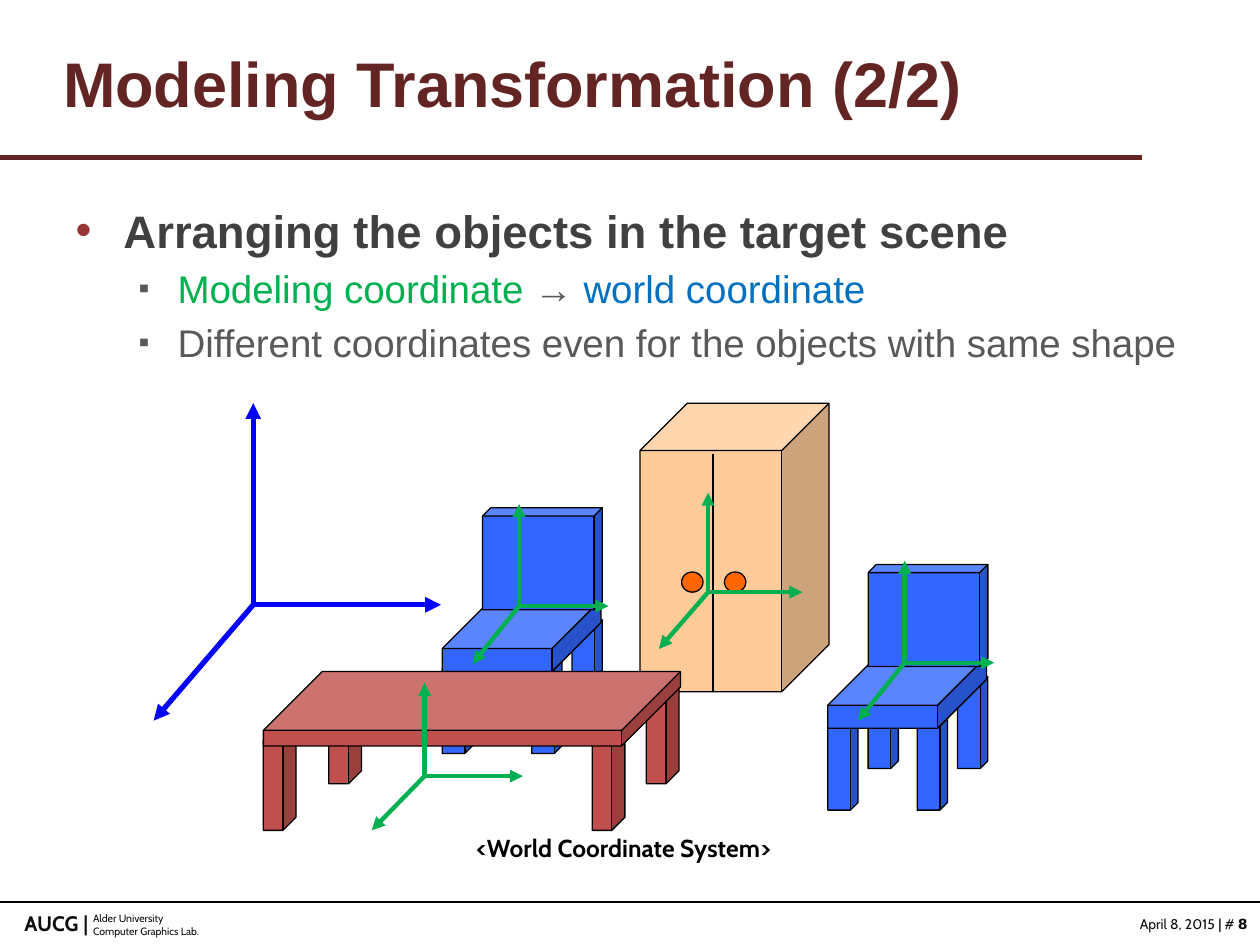
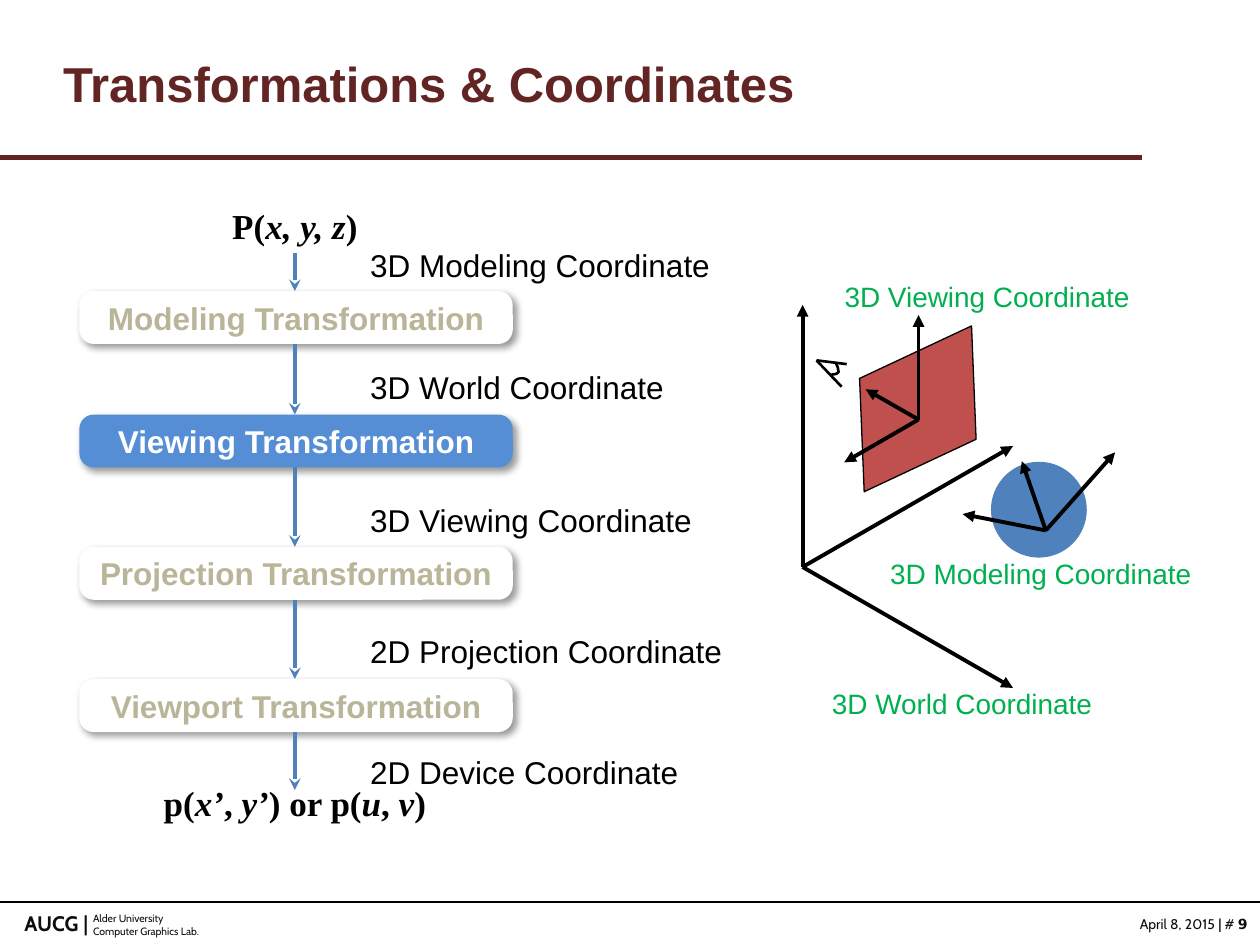
from lxml import etree
from pptx import Presentation
from pptx.dml.color import RGBColor
from pptx.enum.shapes import MSO_CONNECTOR, MSO_SHAPE
from pptx.enum.text import MSO_ANCHOR, MSO_AUTO_SIZE, PP_ALIGN
from pptx.oxml.ns import qn
from pptx.util import Cm, Pt

CUBE, OVAL = MSO_SHAPE.CUBE, MSO_SHAPE.OVAL
ROUNDED, PARALLELOGRAM = MSO_SHAPE.ROUNDED_RECTANGLE, MSO_SHAPE.PARALLELOGRAM
STRAIGHT = MSO_CONNECTOR.STRAIGHT
LEFT, CENTER, RIGHT = PP_ALIGN.LEFT, PP_ALIGN.CENTER, PP_ALIGN.RIGHT
TOP, MIDDLE = MSO_ANCHOR.TOP, MSO_ANCHOR.MIDDLE
TITLE_AND_BODY, TITLE_ONLY = 1, 5

COLORS = {
    "maroon": "632523", "bullet": "953735", "dark": "404040", "gray": "595959",
    "ink": "0D0D0D", "black": "000000", "white": "FFFFFF", "muted": "B8B598",
    "green": "00B050", "sky": "0070C0", "axis": "0000FF", "steel": "4F81BD",
    "active": "558ED5", "chair": "3366FF", "table": "C0504D",
    "cabinet": "FFCC99", "knob": "FF6600",
}


def rgb(name):
    return RGBColor.from_string(COLORS[name])


def grid(*values):
    """Turn positions on the 10 x 7.5 layout grid into lengths."""
    return [Cm(2.54 * v) for v in values]


def write(p, text, size=18, color="black", font="Arial", bold=False, italic=False):
    r = p.add_run()
    r.text = text
    f = r.font
    f.size, f.name, f.bold, f.italic = Pt(size), font, bold, italic
    f.color.rgb = rgb(color)


class Deck:
    def __init__(self):
        self.prs = Presentation()
        self.prs.slide_width, self.prs.slide_height = grid(10, 7.5)
        self.s = None

    # Slide frame: title, rules and footer
    def new_slide(self, layout, title, size, number):
        self.s = self.prs.slides.add_slide(self.prs.slide_layouts[layout])
        self.line((0, 1.25), (9.06, 1.25), "maroon", 3)
        self.line((0, 7.16), (10, 7.16), "black", 1)
        footer = dict(font="Cabin", color="ink")
        self.text((-0.04, 7.18, 0.84, 0.3), [("AUCG |", dict(bold=True))],
                  RIGHT, size=12, **footer)
        for i, owner in enumerate(["Alder University", "Computer Graphics Lab."]):
            self.text((0.64, 7.19 + 0.1 * i, 1.4, 0.2), [(owner, {})],
                      size=6, **footer)
        self.text((8.5, 7.22, 1.5, 0.24),
                  [("April 8, 2015 ", {}), ("|", dict(bold=True)), (" # ", {}),
                   (str(number), dict(bold=True, font="DejaVu Sans"))],
                  RIGHT, size=8, **footer)
        tf = self.place(self.s.shapes.title, (0.3, 0.22, 9, 0.87), MIDDLE)
        tf.margin_left = grid(0.2)[0]
        tf.paragraphs[0].alignment = LEFT
        write(tf.paragraphs[0], title, size, "maroon", bold=True)

    def place(self, sp, box, anchor=TOP):
        sp.left, sp.top, sp.width, sp.height = grid(*box)
        tf = sp.text_frame
        tf.auto_size, tf.word_wrap = MSO_AUTO_SIZE.NONE, True
        tf.vertical_anchor = anchor
        return tf

    # Bulleted list: items are (level, runs)
    def bullets(self, box, items):
        tf = self.place(self.s.placeholders[1], box)
        looks = [dict(hang=(0.38, -0.38), char="•", color="bullet", pct=100),
                 dict(hang=(0.81, -0.31), char="▪", color="gray", pct=80)]
        for i, (level, runs) in enumerate(items):
            p = tf.add_paragraph() if i else tf.paragraphs[0]
            p.level = level
            self.bullet(p, **looks[level])
            for text, fmt in runs:
                write(p, text, **fmt)

    def bullet(self, p, hang, char, color, pct):
        pPr = p._p.get_or_add_pPr()
        margin, indent = grid(*hang)
        pPr.set("marL", str(int(margin)))
        pPr.set("indent", str(int(indent)))
        clr = etree.SubElement(pPr, qn("a:buClr"))
        etree.SubElement(clr, qn("a:srgbClr"), val=COLORS[color])
        etree.SubElement(pPr, qn("a:buSzPct"), val=str(pct * 1000))
        etree.SubElement(pPr, qn("a:buFont"), typeface="Arial")
        etree.SubElement(pPr, qn("a:buChar"), char=char)

    # Free text: runs are (text, format changes)
    def text(self, box, runs, align=LEFT, spacing=None, **fmt):
        tf = self.place(self.s.shapes.add_textbox(*grid(*box)), box)
        p = tf.paragraphs[0]
        p.alignment = align
        if spacing:
            p.line_spacing = spacing
        for text, changes in runs:
            write(p, text, **{**fmt, **changes})

    def shape(self, kind, box, fill, line="black", adj=None, rotation=0):
        sp = self.s.shapes.add_shape(kind, *grid(*box))
        sp.fill.solid()
        sp.fill.fore_color.rgb = rgb(fill)
        if line:
            sp.line.color.rgb, sp.line.width = rgb(line), Pt(0.75)
        else:
            sp.line.fill.background()
        if adj is not None:
            sp.adjustments[0] = adj
        sp.rotation = rotation
        sp.shadow.inherit = False
        return sp

    def line(self, start, end, color, width, head=None):
        sp = self.s.shapes.add_connector(STRAIGHT, *grid(*start, *end))
        sp.line.color.rgb, sp.line.width = rgb(color), Pt(width)
        if head:
            etree.SubElement(sp.line._get_or_add_ln(), qn("a:tailEnd"), type=head)
        etree.SubElement(sp._element.spPr, qn("a:effectLst"))

    def curve(self, points, color, width, rotation):
        start, *rest = [grid(*pt) for pt in points]
        builder = self.s.shapes.build_freeform(*start)
        builder.add_line_segments(rest, close=False)
        sp = builder.convert_to_shape()
        sp.fill.background()
        sp.line.color.rgb, sp.line.width = rgb(color), Pt(width)
        sp.rotation = rotation
        sp.shadow.inherit = False

    # Arrows from one origin to tips given as offsets
    def axes(self, x, y, tips, color, width):
        for dx, dy in tips:
            self.line((x, y), (x + dx, y + dy), color, width, "triangle")

    # Rounded process box with a soft shadow
    def stage(self, box, label, active):
        sp = self.shape(ROUNDED, box, "active" if active else "white", None, 0.27)
        shadow = etree.SubElement(sp._element.spPr.find(qn("a:effectLst")),
                                  qn("a:outerShdw"), blurRad=str(int(Pt(4))),
                                  dist=str(int(Pt(3))), dir="2700000", algn="tl",
                                  rotWithShape="0")
        clr = etree.SubElement(shadow, qn("a:srgbClr"), val=COLORS["black"])
        etree.SubElement(clr, qn("a:alpha"), val="40000")
        tf = sp.text_frame
        tf.word_wrap, tf.vertical_anchor = False, MIDDLE
        p = tf.paragraphs[0]
        p.alignment = CENTER
        write(p, label, color="white" if active else "muted", bold=True)

    # Furniture
    def chair(self, x, y):
        for dx, dy in [(0, 1.22), (0.32, 0.89), (1.03, 0.89), (0.71, 1.22)]:
            self.shape(CUBE, (x + dx, y + dy, 0.24, 0.73), "chair", adj=0.25)
        self.shape(CUBE, (x, y + 0.73, 1.26, 0.57), "chair", adj=0.68)
        self.shape(CUBE, (x + 0.32, y, 0.95, 0.81), "chair", adj=0.08)
        self.axes(x + 0.61, y + 0.78, [(0, -0.81), (0.71, 0), (-0.37, 0.46)],
                  "green", 2.5)

    def table(self, x, y):
        for dx, dy in [(2.61, 0.44), (3.04, 0.07), (0.52, 0.07), (0, 0.44)]:
            self.shape(CUBE, (x + dx, y + dy, 0.26, 0.82), "table", adj=0.4)
        self.shape(CUBE, (x, y, 3.31, 0.59), "table", adj=0.79)
        self.axes(x + 1.28, y + 0.83, [(0, -0.74), (0.78, 0), (-0.42, 0.43)],
                  "green", 2.5)

    def cabinet(self, x, y):
        self.shape(CUBE, (x, y, 1.5, 2.29), "cabinet", adj=0.25)
        self.line((x + 0.58, y + 0.4), (x + 0.58, y + 2.29), "black", 0.75)
        for dx in (0.33, 0.67):
            self.shape(OVAL, (x + dx, y + 1.34, 0.17, 0.16), "knob")
        self.axes(x + 0.54, y + 1.5, [(0, -0.79), (0.75, 0), (-0.39, 0.45)],
                  "green", 2.5)


def modeling_slide(deck):
    deck.new_slide(TITLE_AND_BODY, "Modeling Transformation (2/2)", 36, 8)
    deck.bullets((0.5, 1.56, 9, 5.31), [
        (0, [("Arranging the objects in the target scene",
              dict(size=26, color="dark", bold=True))]),
        (1, [("Modeling coordinate ", dict(size=22, color="green")),
             ("→ ", dict(size=22, color="gray")),
             ("world coordinate", dict(size=22, color="sky"))]),
        (1, [("Different coordinates even for the objects with same shape",
              dict(size=22, color="gray"))]),
    ])
    # Scene, from back to front
    deck.cabinet(5.08, 3.2)
    deck.axes(2.01, 4.8, [(0, -1.6), (1.49, 0), (-0.79, 0.92)], "axis", 3)
    deck.chair(6.57, 4.48)
    deck.chair(3.51, 4.03)
    deck.table(2.09, 5.33)
    deck.text((3.43, 6.56, 3.04, 0.34), [("<World Coordinate System>", {})],
              CENTER, size=14, font="Cabin", bold=True)


def coordinates_slide(deck):
    deck.new_slide(TITLE_ONLY, "Transformations & Coordinates", 28, 9)

    # Transformation pipeline
    stages = [("Modeling", 2.31), ("Viewing", 3.29),
              ("Projection", 4.34), ("Viewport", 5.39)]
    height = 0.42
    for name, top in stages:
        deck.stage((0.63, top, 3.44, height), f"{name} Transformation",
                   active=name == "Viewing")
    tops = [top for _, top in stages]
    for start, end in zip([2.01] + [t + height for t in tops], tops + [6.27]):
        deck.line((2.34, start), (2.34, end), "steel", 2.25, "stealth")
    for name, top in [("3D Modeling", 1.9), ("3D World", 2.87), ("3D Viewing", 3.93),
                      ("2D Projection", 4.97), ("2D Device", 5.93)]:
        deck.text((2.84, top, 3.34, height), [(f"{name} Coordinate", {})])

    # Input and output points
    math = dict(align=CENTER, size=20, font="Times New Roman", bold=True)
    it = dict(italic=True)
    deck.text((1.04, 1.64, 2.6, 0.37),
              [("P(", {}), ("x, y, z", it), (")", {})], spacing=0.8, **math)
    deck.text((1.04, 6.27, 2.6, 0.3),
              [("p(", {}), ("x’", it), (", ", {}), ("y’", it), (") or p(", {}),
               ("u", it), (", ", {}), ("v", it), (")", {})], spacing=0.6, **math)

    # World axes, modeled ball and view plane
    deck.axes(6.37, 4.5, [(0, -2.08), (1.67, 0.96), (1.67, -0.96)], "black", 2.25)
    deck.shape(OVAL, (7.87, 3.67, 0.75, 0.75), "steel", "steel")
    deck.axes(8.3, 4.21, [(0.55, -0.62), (-0.66, -0.13), (-0.19, -0.55)],
              "black", 2.25)
    deck.shape(PARALLELOGRAM, (6.62, 2.83, 1.33, 0.83), "table", adj=0.42,
               rotation=334.9)
    deck.axes(7.29, 3.33, [(0, -0.83), (-0.59, 0.34), (-0.42, -0.24)], "black", 2.25)

    # Eye
    for end in [(6.72, 2.89), (6.68, 3.07)]:
        deck.line((6.48, 2.86), end, "black", 1.5)
    deck.curve([(6.58, 2.97), (6.63, 2.97), (6.65, 2.96), (6.65, 2.92), (6.64, 2.88)],
               "black", 1.5, 350)

    for name, x, y, width in [("Viewing", 6.53, 2.17, 2.61), ("World", 6.44, 5.4, 2.39),
                              ("Modeling", 6.95, 4.37, 2.62)]:
        deck.text((x, y, width, 0.37), [(f"3D {name} Coordinate", {})], CENTER,
                  size=16, color="green")


def main():
    deck = Deck()
    modeling_slide(deck)
    coordinates_slide(deck)
    deck.prs.save("out.pptx")


if __name__ == "__main__":
    main()
